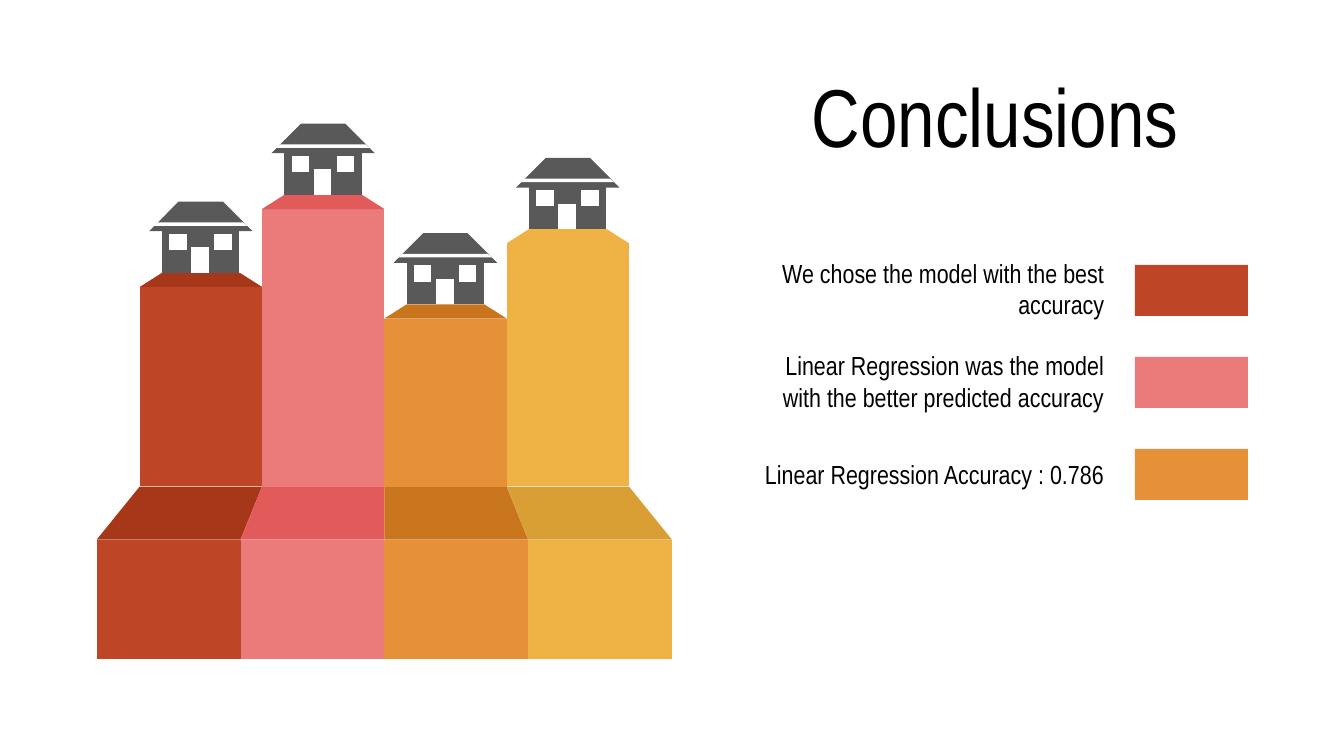
import dataclasses

import pptx
import pptx.dml.color
import pptx.enum.shapes
import pptx.enum.text
import pptx.shapes.autoshape
import pptx.shapes.shapetree
import pptx.util

RGBColor = pptx.dml.color.RGBColor
PP_ALIGN = pptx.enum.text.PP_ALIGN

SCALE = 4572  # EMU per px, 200 px to the inch
FONT = "Arial Narrow"

BLACK = RGBColor(0x00, 0x00, 0x00)
WHITE = RGBColor(0xFF, 0xFF, 0xFF)
GREY = RGBColor(0x59, 0x59, 0x59)
RED = RGBColor(0xBE, 0x46, 0x26)
DARK_RED = RGBColor(0xA7, 0x37, 0x19)
PINK = RGBColor(0xEB, 0x7B, 0x7B)
DARK_PINK = RGBColor(0xE2, 0x5A, 0x5A)
ORANGE = RGBColor(0xE6, 0x91, 0x38)
DARK_ORANGE = RGBColor(0xC9, 0x75, 0x1D)
YELLOW = RGBColor(0xEE, 0xB2, 0x45)
DARK_YELLOW = RGBColor(0xD9, 0x9F, 0x35)

BACK_LEFT, BACK_WIDTH = 208, 182
FRONT_LEFT, FRONT_WIDTH = 144, 214
STEP_BACK, STEP_FRONT, BASE_BOTTOM = 724, 803, 981
CAP_HEIGHT, CAP_INSET = 21, 33
TEXT_RIGHT = 1663

Points = list[tuple[int, int]]


@dataclasses.dataclass(frozen=True)
class Tower:
    top: int
    face: RGBColor
    step: RGBColor
    cap: RGBColor


@dataclasses.dataclass(frozen=True)
class Conclusion:
    text: str
    left: int
    color: RGBColor


TOWERS = [
    Tower(427, RED, DARK_RED, DARK_RED),
    Tower(311, PINK, DARK_PINK, DARK_PINK),
    Tower(474, ORANGE, DARK_ORANGE, DARK_ORANGE),
    Tower(362, YELLOW, DARK_YELLOW, YELLOW),
]

CONCLUSIONS = [
    Conclusion("We chose the model with the best accuracy", 1134, RED),
    Conclusion("Linear Regression was the model with the better predicted accuracy", 1134, PINK),
    Conclusion("Linear Regression Accuracy : 0.786", 1080, ORANGE),
]


def px(length: int) -> pptx.util.Emu:
    return pptx.util.Emu(length * SCALE)


def box(left: int, top: int, right: int, bottom: int) -> Points:
    return [(left, top), (right, top), (right, bottom), (left, bottom)]


# Points are measured from the lower left corner of the walls.
HOUSE_PARTS = [
    (box(0, -82, 115, 0), GREY),
    (box(44, -38, 70, 0), WHITE),
    (box(11, -58, 37, -34), WHITE),
    (box(78, -58, 104, -34), WHITE),
    ([(25, -106), (-19, -62), (135, -62), (91, -106)], GREY),
    ([(-6, -75), (-12, -70), (127, -70), (121, -75)], WHITE),
]


def paint(shape: pptx.shapes.autoshape.Shape, color: RGBColor) -> None:
    shape.shadow.inherit = False
    shape.fill.solid()
    shape.fill.fore_color.rgb = color
    shape.line.fill.background()


def add_polygon(shapes: pptx.shapes.shapetree.SlideShapes, points: Points, color: RGBColor) -> None:
    builder = shapes.build_freeform(*points[0], scale=SCALE)
    builder.add_line_segments(points[1:], close=True)
    paint(builder.convert_to_shape(), color)


def add_text(
    shapes: pptx.shapes.shapetree.SlideShapes,
    text: str,
    *,
    left: int,
    top: int,
    width: int,
    height: int,
    size: int,
    align: PP_ALIGN,
) -> None:
    frame = shapes.add_textbox(px(left), px(top), px(width), px(height)).text_frame
    frame.word_wrap = True
    frame.vertical_anchor = pptx.enum.text.MSO_ANCHOR.MIDDLE
    frame.margin_left = frame.margin_right = px(20)
    frame.margin_top = frame.margin_bottom = px(20)
    paragraph = frame.paragraphs[0]
    paragraph.alignment = align
    run = paragraph.add_run()
    run.text = text
    run.font.name = FONT
    run.font.size = pptx.util.Pt(size)
    run.font.color.rgb = BLACK


def add_tower(shapes: pptx.shapes.shapetree.SlideShapes, index: int, tower: Tower) -> None:
    """Draw the base, the sloping step, the column and its cap."""
    front = FRONT_LEFT + index * FRONT_WIDTH
    front_right = front + FRONT_WIDTH
    back = BACK_LEFT + index * BACK_WIDTH
    back_right = back + BACK_WIDTH
    cap_top = tower.top - CAP_HEIGHT

    add_polygon(shapes, box(front, STEP_FRONT, front_right, BASE_BOTTOM), tower.face)
    step = [(back, STEP_BACK), (front, STEP_FRONT), (front_right, STEP_FRONT), (back_right, STEP_BACK)]
    add_polygon(shapes, step, tower.step)
    add_polygon(shapes, box(back, tower.top, back_right, STEP_BACK), tower.face)
    cap = [
        (back + CAP_INSET, cap_top),
        (back, tower.top),
        (back_right, tower.top),
        (back_right - CAP_INSET, cap_top),
    ]
    add_polygon(shapes, cap, tower.cap)


def add_house(shapes: pptx.shapes.shapetree.SlideShapes, left: int, bottom: int) -> None:
    house = shapes.add_group_shape()
    for points, color in HOUSE_PARTS:
        add_polygon(house.shapes, [(left + x, bottom + y) for x, y in points], color)


def add_conclusion(shapes: pptx.shapes.shapetree.SlideShapes, index: int, conclusion: Conclusion) -> None:
    add_text(
        shapes,
        conclusion.text,
        left=conclusion.left,
        top=365 + index * 138,
        width=TEXT_RIGHT - conclusion.left,
        height=128,
        size=14,
        align=PP_ALIGN.RIGHT,
    )
    swatch = shapes.add_shape(
        pptx.enum.shapes.MSO_SHAPE.RECTANGLE, px(1689), px(394 + index * 137), px(168), px(76)
    )
    paint(swatch, conclusion.color)


def main() -> None:
    presentation = pptx.Presentation()
    presentation.slide_width = px(2000)
    presentation.slide_height = px(1125)
    slide = presentation.slides.add_slide(presentation.slide_layouts[6])
    shapes = slide.shapes

    for index, tower in enumerate(TOWERS):
        add_tower(shapes, index, tower)
    for index, tower in enumerate(TOWERS):
        add_house(shapes, BACK_LEFT + index * BACK_WIDTH + CAP_INSET, tower.top - CAP_HEIGHT)

    add_text(
        shapes, "Conclusions", left=1106, top=118, width=750, height=106, size=44, align=PP_ALIGN.CENTER
    )
    for index, conclusion in enumerate(CONCLUSIONS):
        add_conclusion(shapes, index, conclusion)

    presentation.save("out.pptx")


if __name__ == "__main__":
    main()
